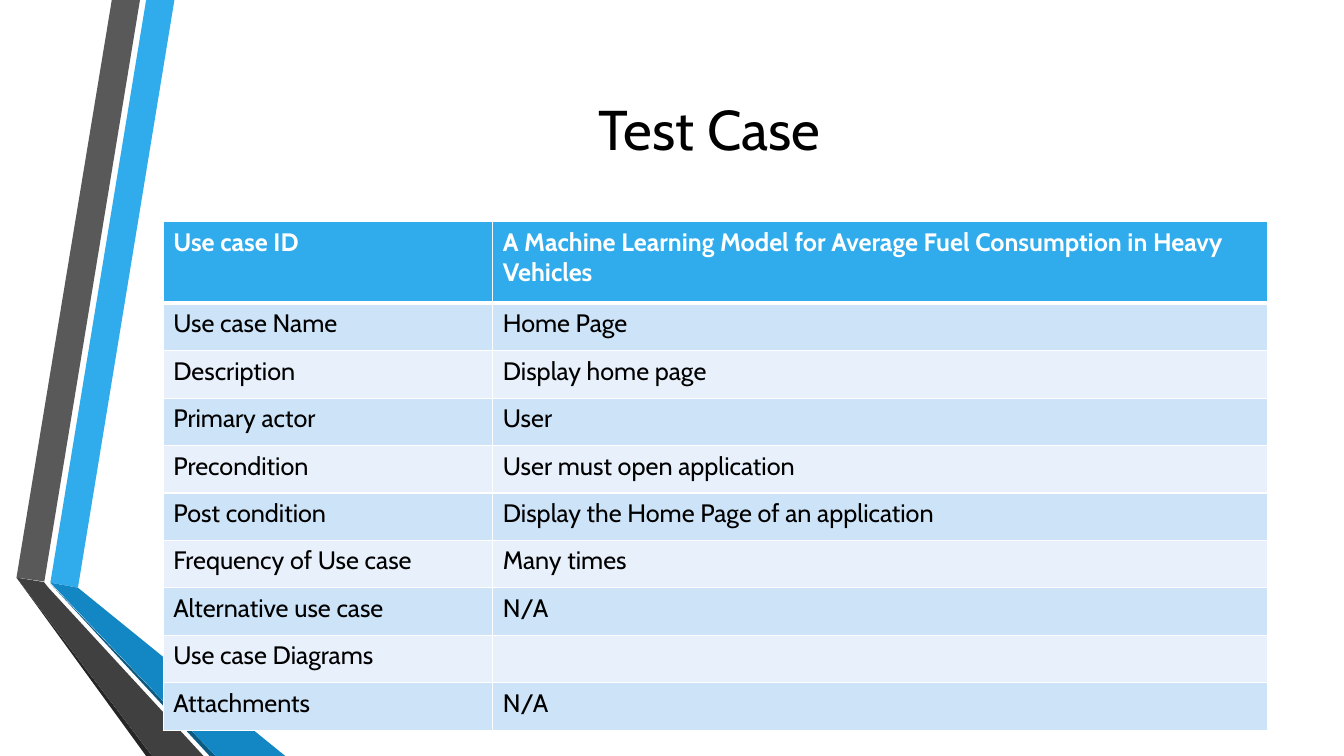
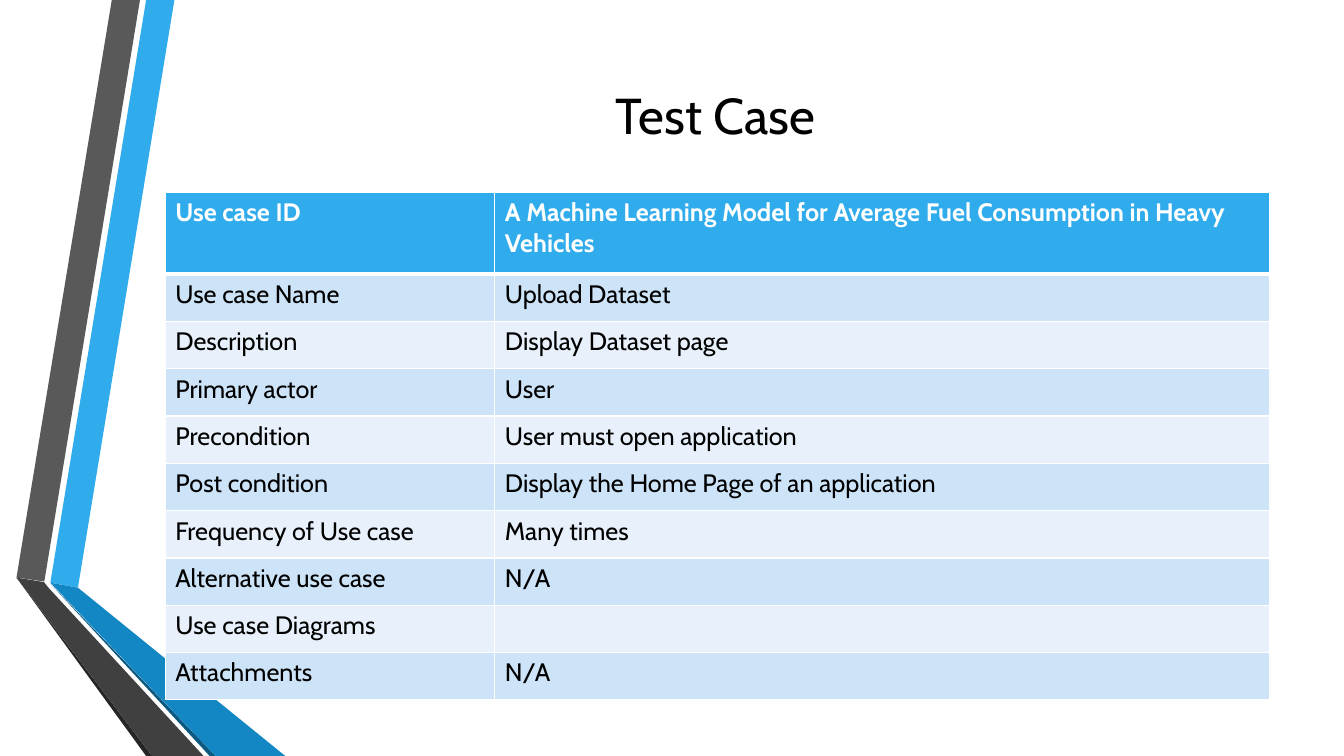
from dataclasses import dataclass
from typing import Any

from lxml.etree import SubElement
from pptx import Presentation
from pptx.dml.color import RGBColor as Color
from pptx.enum.text import MSO_VERTICAL_ANCHOR as Anchor, PP_PARAGRAPH_ALIGNMENT as Align
from pptx.oxml.ns import qn
from pptx.util import Pt


@dataclass(frozen=True)
class Theme:
    font: str = "Cabin"
    cell_size: float = 18
    white: str = "FFFFFF"
    black: str = "000000"
    blue: str = "30ACEC"
    blue_fold: str = "1287C3"
    blue_edge: str = "0C5A82"
    gray: str = "595959"
    gray_fold: str = "404040"
    gray_edge: str = "262626"
    row_fills: tuple[str, str] = ("E8F1FB", "CDE3F8")
    thin_border: float = 1
    thick_border: float = 3


@dataclass(frozen=True)
class Ribbon:
    color: str
    points: tuple[tuple[float, float], ...]


@dataclass(frozen=True)
class TestCase:
    title: str
    title_size: float
    title_height: float
    table_left: float
    table_top: float
    row_height: float
    use_case_name: str
    description: str


THEME = Theme()
SLIDE_WIDTH, SLIDE_HEIGHT = 960, 540
TITLE_LEFT, TITLE_TOP = 116.6, 54
COLUMN_WIDTHS = (235.4, 553.7)
HEADER_HEIGHT = 58.3

RIBBONS = (
    Ribbon(THEME.blue, ((36, 416.2), (55.7, 419.8), (124.6, 0), (104.4, 0))),
    Ribbon(THEME.gray, ((100, 0), (79.9, 0), (11.8, 412.6), (31.7, 415.4))),
    Ribbon(THEME.gray_edge, ((11.8, 412.6), (104.4, 540), (108.7, 540))),
    Ribbon(THEME.blue_edge, ((36, 416.9), (149.8, 540), (154.1, 540))),
    Ribbon(THEME.blue_fold, ((36, 416.2), (154.1, 540), (203.8, 540), (55.7, 419.8))),
    Ribbon(THEME.gray_fold, ((145.4, 540), (34.6, 419.8), (31.4, 415.8),
                             (11.8, 412.6), (108.7, 540))),
)

TEST_CASES = (
    TestCase("Test Case ", 40, 75.6, 116.6, 158.4, 33.9, "Home Page", "Display home page"),
    TestCase("Test Case", 36, 54.7, 118.1, 137.5, 33.8,
             "Upload Dataset", "Display Dataset page"),
)


def table_rows(case: TestCase) -> list[tuple[str, str]]:
    return [
        ("Use case ID",
         "A Machine Learning Model for Average Fuel Consumption in Heavy Vehicles"),
        ("Use case Name", case.use_case_name),
        ("Description", case.description),
        ("Primary actor", "User"),
        ("Precondition", "User must open application"),
        ("Post condition", "Display the Home Page of an application"),
        ("Frequency of Use case", "Many times"),
        ("Alternative use case", "N/A"),
        ("Use case Diagrams", ""),
        ("Attachments", "N/A"),
    ]


def set_attributes(target: Any, values: dict[str, Any]) -> None:
    for name, value in values.items():
        setattr(target, name, value)


def write_text(paragraph: Any, text: str, size: float, color: str, bold: bool = False) -> None:
    run = paragraph.add_run()
    run.text = text
    set_attributes(run.font, {"name": THEME.font, "size": Pt(size), "bold": bold})
    run.font.color.rgb = Color.from_string(color)


def draw_ribbon(slide: Any, ribbon: Ribbon) -> None:
    start, *others = [(Pt(x), Pt(y)) for x, y in ribbon.points]
    builder = slide.shapes.build_freeform(*start)
    builder.add_line_segments(others, close=True)
    shape = builder.convert_to_shape()
    shape.shadow.inherit = False
    shape.fill.solid()
    shape.fill.fore_color.rgb = Color.from_string(ribbon.color)
    shape.line.fill.background()


def draw_title(slide: Any, case: TestCase) -> None:
    box = slide.shapes.add_textbox(Pt(TITLE_LEFT), Pt(TITLE_TOP),
                                   Pt(sum(COLUMN_WIDTHS)), Pt(case.title_height))
    set_attributes(box.text_frame, {"word_wrap": True, "vertical_anchor": Anchor.MIDDLE})
    paragraph = box.text_frame.paragraphs[0]
    paragraph.alignment = Align.CENTER
    write_text(paragraph, case.title, case.title_size, THEME.black)


def add_borders(cell: Any, widths: dict[str, float]) -> None:
    """Add cell edges; call before filling, since edges come first in the schema."""
    properties = cell._tc.get_or_add_tcPr()
    for edge, width in widths.items():
        line = SubElement(properties, qn(f"a:ln{edge}"), w=str(Pt(width)))
        fill = SubElement(line, qn("a:solidFill"))
        SubElement(fill, qn("a:srgbClr"), val=THEME.white)


def draw_table(slide: Any, case: TestCase) -> None:
    rows = table_rows(case)
    heights = [HEADER_HEIGHT] + [case.row_height] * (len(rows) - 1)
    table = slide.shapes.add_table(len(rows), len(COLUMN_WIDTHS),
                                   Pt(case.table_left), Pt(case.table_top),
                                   Pt(sum(COLUMN_WIDTHS)), Pt(sum(heights))).table
    set_attributes(table, {"first_row": True, "horz_banding": False})
    for column, width in zip(table.columns, COLUMN_WIDTHS):
        column.width = Pt(width)
    for row_index, (texts, height) in enumerate(zip(rows, heights)):
        table.rows[row_index].height = Pt(height)
        is_header = row_index == 0
        fill = THEME.blue if is_header else THEME.row_fills[row_index % 2]
        borders = dict.fromkeys("LRTB", THEME.thin_border)
        if row_index < 2:
            borders["B" if is_header else "T"] = THEME.thick_border
        for column_index, text in enumerate(texts):
            cell = table.cell(row_index, column_index)
            add_borders(cell, borders)
            cell.fill.solid()
            cell.fill.fore_color.rgb = Color.from_string(fill)
            if text:
                write_text(cell.text_frame.paragraphs[0], text, THEME.cell_size,
                           THEME.white if is_header else THEME.black, bold=is_header)


def main() -> None:
    presentation = Presentation()
    set_attributes(presentation, {"slide_width": Pt(SLIDE_WIDTH),
                                  "slide_height": Pt(SLIDE_HEIGHT)})
    blank_layout = presentation.slide_layouts[6]
    for case in TEST_CASES:
        slide = presentation.slides.add_slide(blank_layout)
        for ribbon in RIBBONS:
            draw_ribbon(slide, ribbon)
        draw_title(slide, case)
        draw_table(slide, case)
    presentation.save("out.pptx")


if __name__ == "__main__":
    main()
